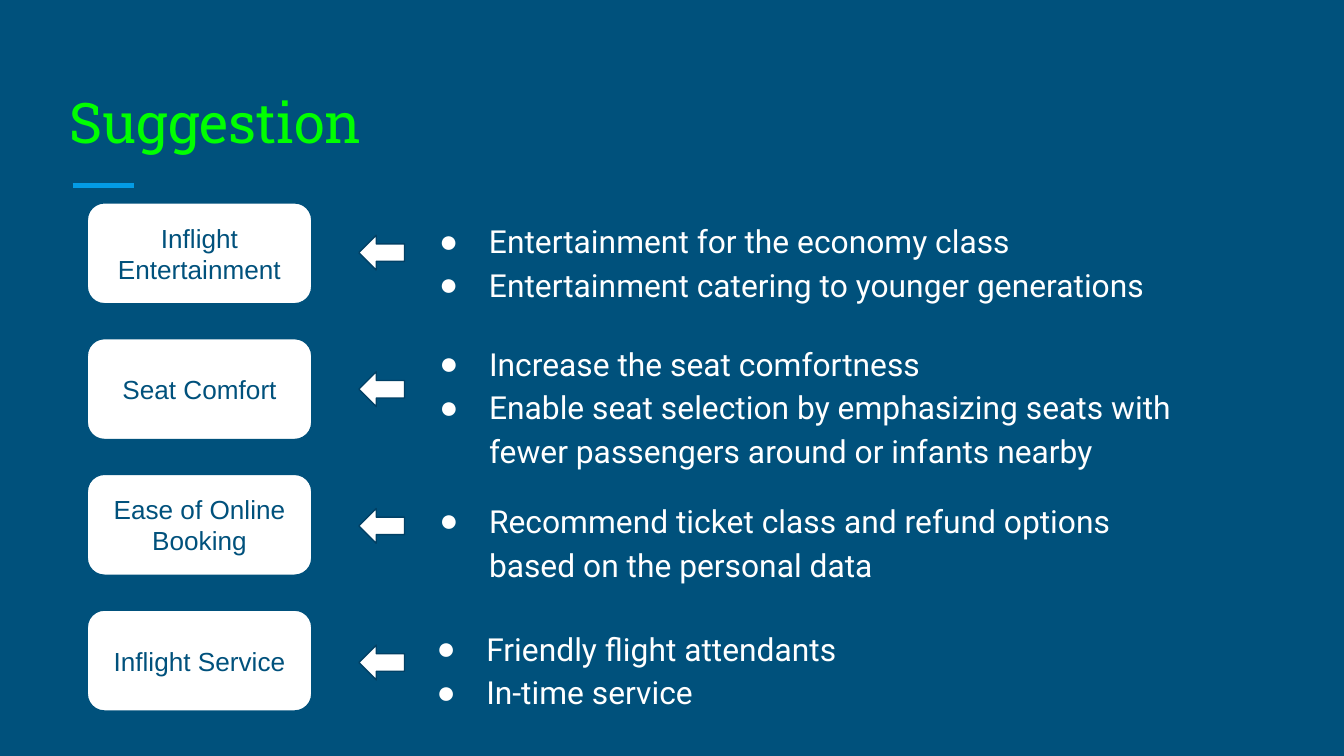
from lxml import etree
from pptx import Presentation
from pptx import util as u
from pptx.dml.color import RGBColor
from pptx.enum import shapes, text
from pptx.oxml.ns import qn

COLORS = {"navy": "00517C", "deep": "004065", "blue": "039BE5",
          "green": "00FF00", "white": "FFFFFF"}
ROW_TOP, ROW_PITCH = 1.51, 1.01
ARROW_TOP, ARROW_PITCH = 1.75, (4.8 - 1.75) / 3
ROWS = [
    ("Inflight Entertainment", (3.04, 1.51, 6.1, 0.82),
     ["Entertainment for the economy class",
      "Entertainment catering to younger generations"]),
    ("Seat Comfort", (3.04, 2.42, 5.82, 1.25),
     ["Increase the seat comfortness",
      "Enable seat selection by emphasizing seats with fewer passengers "
      "around or infants nearby"]),
    ("Ease of Online Booking", (3.04, 3.59, 5.82, 0.85),
     ["Recommend ticket class and refund options based on the personal data"]),
    ("Inflight Service", (3.02, 4.54, 5.82, 0.85),
     ["Friendly flight attendants", "In-time service"]),
]


def rgb(name):
    return RGBColor.from_string(COLORS[name])


def inches(*values):
    return [u.Inches(v) for v in values]


def add_bullet(p):
    pPr = p._p.get_or_add_pPr()
    pPr.set("marL", str(u.Inches(0.5)))
    pPr.set("indent", str(u.Inches(-0.37)))
    clr = etree.SubElement(pPr, qn("a:buClr"))
    etree.SubElement(clr, qn("a:srgbClr"), val=COLORS["white"])
    etree.SubElement(pPr, qn("a:buFont"), typeface="Arial")
    etree.SubElement(pPr, qn("a:buChar"), char="●")


def write(sp, lines, size=17, font="Roboto", color="white", align="LEFT",
          anchor="TOP", spacing=1.0, bullets=False):
    tf = sp.text_frame
    tf.word_wrap = True
    tf.vertical_anchor = text.MSO_ANCHOR[anchor]
    tf.margin_left = tf.margin_right = u.Inches(0.1)
    tf.margin_top = tf.margin_bottom = u.Inches(0.1)
    for i, line in enumerate(lines):
        p = tf.add_paragraph() if i else tf.paragraphs[0]
        p.alignment = text.PP_ALIGN[align]
        p.line_spacing = spacing
        if bullets:
            add_bullet(p)
        r = p.add_run()
        r.text = line
        r.font.size = u.Pt(size)
        r.font.name = font
        r.font.color.rgb = rgb(color)


def add_text(slide, box, lines, **fmt):
    write(slide.shapes.add_textbox(*inches(*box)), lines, **fmt)


def add_block(slide, kind, box, line, adjustments):
    sp = slide.shapes.add_shape(kind, *inches(*box))
    sp.shadow.inherit = False
    sp.fill.solid()
    sp.fill.fore_color.rgb = rgb("white")
    sp.line.color.rgb = rgb(line)
    sp.line.width = u.Pt(0.75)
    for i, value in enumerate(adjustments):
        sp.adjustments[i] = value
    return sp


def add_rule(slide, x1, x2, y):
    ln = slide.shapes.add_connector(shapes.MSO_CONNECTOR.STRAIGHT,
                                    *inches(x1, y, x2, y))
    ln.line.color.rgb = rgb("blue")
    ln.line.width = u.Pt(3)
    etree.SubElement(ln._element.spPr, qn("a:effectLst"))


def add_row(slide, i, label, box, points):
    card = add_block(slide, shapes.MSO_SHAPE.ROUNDED_RECTANGLE,
                     (0.65, ROW_TOP + i * ROW_PITCH, 1.67, 0.75), "navy", [0.17])
    write(card, [label], size=14, font="Arial", color="navy",
          align="CENTER", anchor="MIDDLE")
    add_text(slide, box, points, spacing=1.15, bullets=True)
    add_block(slide, shapes.MSO_SHAPE.LEFT_ARROW,
              (2.67, ARROW_TOP + i * ARROW_PITCH, 0.34, 0.26), "deep", [0.5, 0.5])


def main():
    prs = Presentation()
    prs.slide_width = u.Inches(10)
    prs.slide_height = prs.slide_width * 9 // 16
    slide = prs.slides.add_slide(prs.slide_layouts[6])
    slide.background.fill.solid()
    slide.background.fill.fore_color.rgb = rgb("navy")
    add_rule(slide, 0.54, 1, 1.38)
    add_text(slide, (0.42, 0.5, 9.15, 0.75), ["Suggestion"], size=30,
             font="Roboto Slab", color="green", anchor="BOTTOM")
    for i, row in enumerate(ROWS):
        add_row(slide, i, *row)
    prs.save("out.pptx")


if __name__ == "__main__":
    main()
